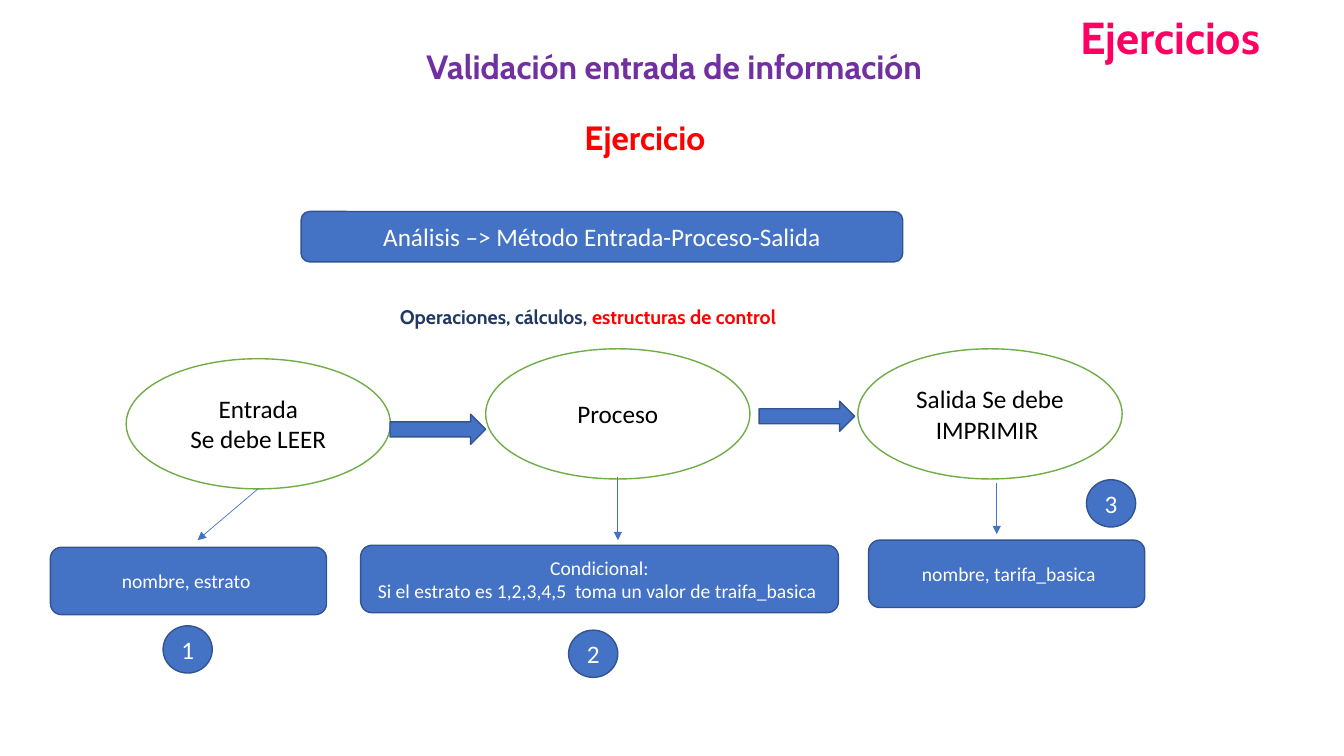
import pptx
import pptx.dml.color
import pptx.enum.shapes
import pptx.enum.text
import pptx.oxml
import pptx.oxml.ns
import pptx.util

Cm = pptx.util.Cm
Pt = pptx.util.Pt
Shape = pptx.enum.shapes.MSO_SHAPE
Align = pptx.enum.text.PP_ALIGN
Anchor = pptx.enum.text.MSO_ANCHOR
AutoSize = pptx.enum.text.MSO_AUTO_SIZE

BLUE, DARK_BLUE, GREEN = "4472C4", "325491", "70AD47"
WHITE, BLACK, RED, NAVY = "FFFFFF", "000000", "FF0000", "203864"
PURPLE, PINK = "7030A0", "FF0062"


def color(hex_code):
    return pptx.dml.color.RGBColor.from_string(hex_code)


class FlowSlide:
    body_font = "Calibri"
    heading_font = "Cabin"

    def __init__(self, deck):
        self.slide = deck.slides.add_slide(deck.slide_layouts[5])
        self.shapes = self.slide.shapes

    def fill_text(self, frame, paragraphs, align, **font_format):
        """Fill the frame; each paragraph is a list of (text, colour) runs."""
        frame.word_wrap = True
        for index, runs in enumerate(paragraphs):
            paragraph = frame.add_paragraph() if index else frame.paragraphs[0]
            paragraph.alignment = align
            for text, text_color in runs:
                run = paragraph.add_run()
                run.text = text
                for attribute, value in font_format.items():
                    setattr(run.font, attribute, value)
                run.font.color.rgb = color(text_color)

    def heading(self, box, runs, size, align=Align.LEFT, holder=None):
        """Put bold heading text in a placeholder or in a new text box."""
        lengths = [Cm(value) for value in box]
        holder = holder or self.shapes.add_textbox(*lengths)
        for attribute, value in zip(("left", "top", "width", "height"), lengths):
            setattr(holder, attribute, value)
        frame = holder.text_frame
        frame.auto_size = AutoSize.NONE
        frame.vertical_anchor = Anchor.TOP
        self.fill_text(frame, [runs], align,
                       name=self.heading_font, size=Pt(size), bold=True)

    def node(self, kind, box, lines=(), size=18,
             fill=BLUE, outline=DARK_BLUE, text_color=WHITE):
        node = self.shapes.add_shape(kind, *[Cm(value) for value in box])
        node.shadow.inherit = False
        node.fill.solid()
        node.fill.fore_color.rgb = color(fill)
        node.line.color.rgb = color(outline)
        node.line.width = Pt(1)
        node.text_frame.vertical_anchor = Anchor.MIDDLE
        self.fill_text(node.text_frame, [[(line, text_color)] for line in lines],
                       Align.CENTER, name=self.body_font, size=Pt(size))

    def pointer(self, *ends):
        """Draw a thin line with an arrowhead at its end."""
        pointer = self.shapes.add_connector(
            pptx.enum.shapes.MSO_CONNECTOR.STRAIGHT, *[Cm(value) for value in ends])
        pointer.line.color.rgb = color(BLUE)
        pointer.line.width = Pt(0.5)
        namespace = pptx.oxml.ns.nsdecls("a")
        properties = pointer._element.spPr
        properties.find(pptx.oxml.ns.qn("a:ln")).append(
            pptx.oxml.parse_xml(f'<a:tailEnd {namespace} type="triangle"/>'))
        properties.append(pptx.oxml.parse_xml(f"<a:effectLst {namespace}/>"))


STAGES = [
    {"oval": (3.18, 9.04), "step": ["Entrada", "Se debe LEER"],
     "pointer": (6.5, 12.32, 4.98, 13.61),
     "box": (1.27, 13.79, 6.96), "detail": ["nombre, estrato "],
     "badge": (4.11, 15.77)},
    {"oval": (12.24, 8.79), "step": ["Proceso"],
     "pointer": (15.57, 12.01, 15.57, 13.61),
     "box": (9.09, 13.74, 12.04),
     "detail": ["Condicional:",
                "Si el estrato es 1,2,3,4,5  toma un valor de traifa_basica "],
     "badge": (14.33, 15.88)},
    {"oval": (21.62, 8.79), "step": ["Salida Se debe IMPRIMIR "],
     "pointer": (25.12, 12.17, 25.12, 13.46),
     "box": (21.89, 13.61, 6.96), "detail": [" nombre, tarifa_basica"],
     "badge": (27.38, 12.09)},
]


def main():
    deck = pptx.Presentation()
    deck.slide_width, deck.slide_height = Cm(33.87), Cm(19.05)
    flow = FlowSlide(deck)

    flow.heading((10.49, 1.02, 17.27, 1.27),
                 [("Validación entrada de información", PURPLE)], 24,
                 holder=flow.shapes.title)
    flow.heading((26.97, 0.13, 7.98, 1.63), [("Ejercicios", PINK)], 32)
    flow.heading((14.48, 2.82, 9.35, 1.27), [("Ejercicio ", RED)], 24, Align.JUSTIFY)
    flow.node(Shape.ROUNDED_RECTANGLE, (7.59, 5.33, 15.16, 1.27),
              ["Análisis –> Método Entrada-Proceso-Salida"])
    flow.heading((9.83, 7.57, 22.83, 0.86),
                 [("Operaciones, cálculos, ", NAVY), ("estructuras de control", RED)],
                 14, Align.JUSTIFY)

    for number, stage in enumerate(STAGES, 1):
        flow.node(Shape.OVAL, (*stage["oval"], 6.66, 3.28), stage["step"],
                  fill=WHITE, outline=GREEN, text_color=BLACK)
        flow.node(Shape.ROUNDED_RECTANGLE, (*stage["box"], 1.7), stage["detail"], size=14)
        flow.pointer(*stage["pointer"])
        flow.node(Shape.OVAL, (*stage["badge"], 1.24, 1.19), [str(number)])
    for corner in ((9.83, 10.44), (19.13, 10.11)):
        flow.node(Shape.RIGHT_ARROW, (*corner, 2.41, 0.76))

    deck.save("out.pptx")


if __name__ == "__main__":
    main()
